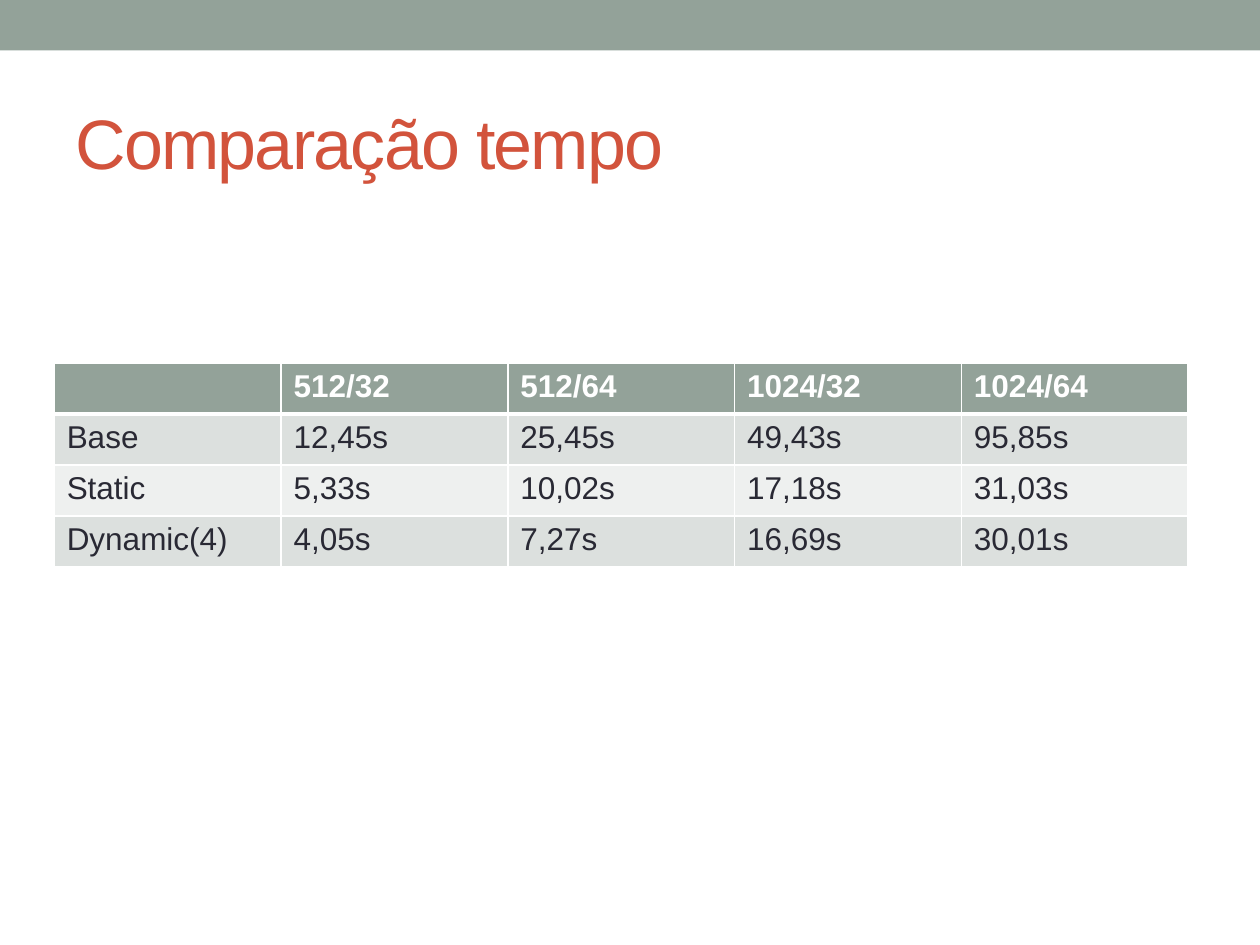
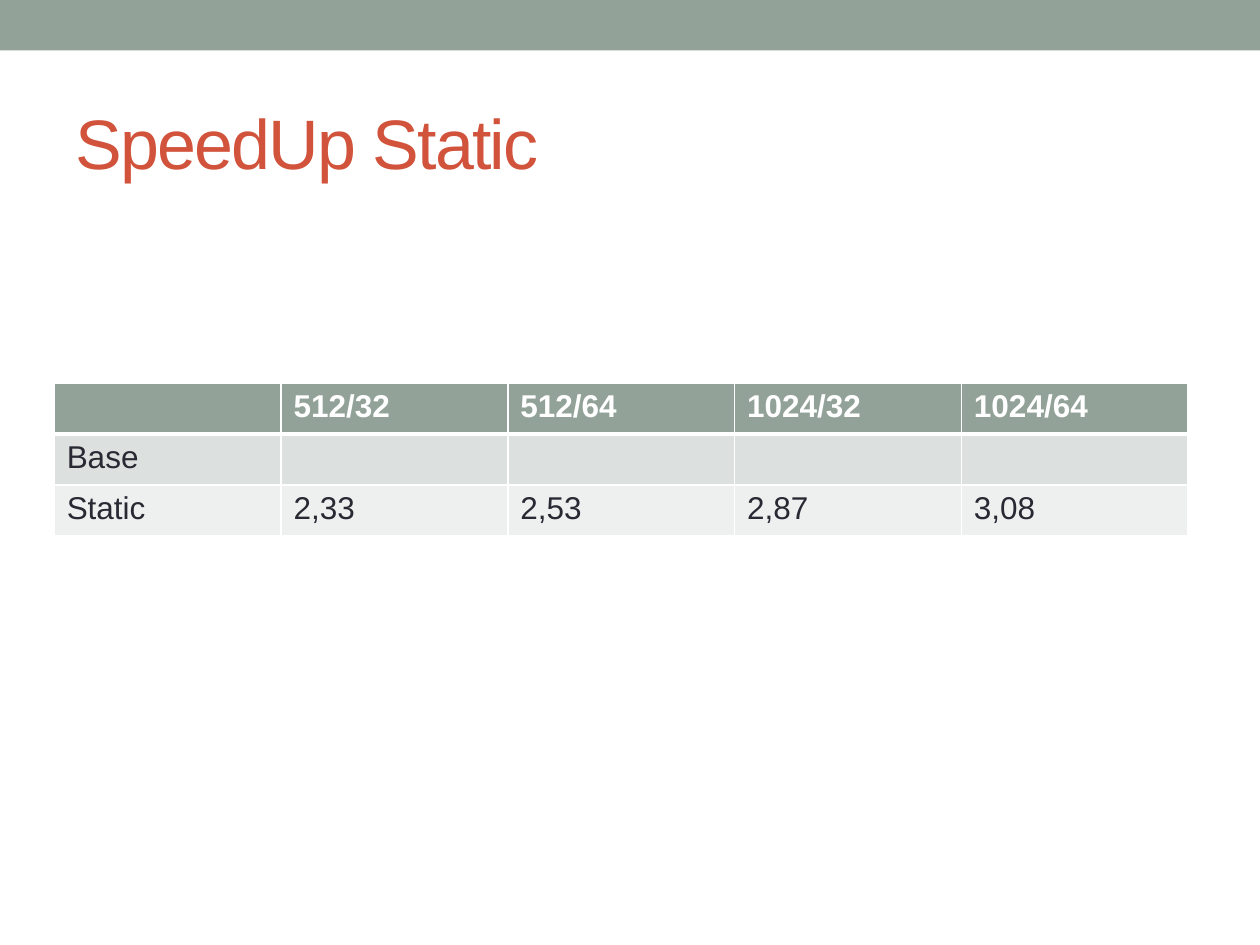
from dataclasses import dataclass

from lxml import etree
from pptx import Presentation
from pptx.dml.color import RGBColor
from pptx.enum.shapes import MSO_SHAPE
from pptx.enum.text import MSO_ANCHOR
from pptx.oxml.ns import qn
from pptx.slide import Slide
from pptx.table import _Cell
from pptx.text.text import _Paragraph
from pptx.util import Inches, Pt

RECTANGLE = MSO_SHAPE.RECTANGLE
MIDDLE = MSO_ANCHOR.MIDDLE

SAGE = RGBColor(0x93, 0xA2, 0x99)
RUST = RGBColor(0xD2, 0x53, 0x3C)
INK = RGBColor(0x29, 0x29, 0x34)
WHITE = RGBColor(0xFF, 0xFF, 0xFF)
ROW_FILLS = (RGBColor(0xDC, 0xE0, 0xDE), RGBColor(0xEE, 0xF0, 0xEF))

FONT = "Arial"
SLIDE_WIDTH, SLIDE_HEIGHT = Inches(10), Inches(7.5)
MARGIN = int(SLIDE_WIDTH * 0.05)
CONTENT_WIDTH = SLIDE_WIDTH - 2 * MARGIN
BAND_HEIGHT = Inches(0.4)
TITLE_TOP, TITLE_HEIGHT = Inches(0.58), Inches(1.08)
TABLE_LEFT = Inches(0.43)
ROW_HEIGHT = Inches(0.405)
THIN, THICK = Pt(1), Pt(3)
TITLE_SPACING = "-100"  # hundredths of a point

HEADER = ("", "512/32", "512/64", "1024/32", "1024/64")


@dataclass(frozen=True)
class TableSlide:
    """A titled slide with one table of results."""
    title: str
    table_top: float
    rows: tuple[tuple[str, ...], ...]


SLIDES = (
    TableSlide("Comparação tempo", 2.88, (
        ("Base", "12,45s", "25,45s", "49,43s", "95,85s"),
        ("Static", "5,33s", "10,02s", "17,18s", "31,03s"),
        ("Dynamic(4)", "4,05s", "7,27s", "16,69s", "30,01s"),
    )),
    TableSlide("SpeedUp Static", 3.04, (
        ("Base", "", "", "", ""),
        ("Static", "2,33", "2,53", "2,87", "3,08"),
    )),
)


def style_paragraph(paragraph: _Paragraph, size: int, color: RGBColor,
                    bold: bool = False) -> None:
    """Set the font of a whole paragraph."""
    font = paragraph.font
    font.name, font.size, font.bold = FONT, Pt(size), bold
    font.color.rgb = color


def add_band(slide: Slide) -> None:
    """Draw the band along the top edge."""
    band = slide.shapes.add_shape(RECTANGLE, 0, 0, SLIDE_WIDTH, BAND_HEIGHT)
    band.shadow.inherit = False
    band.fill.solid()
    band.fill.fore_color.rgb = SAGE
    band.line.fill.background()


def add_title(slide: Slide, text: str) -> None:
    """Write the slide title with tightened letters."""
    box = slide.shapes.add_textbox(MARGIN, TITLE_TOP, CONTENT_WIDTH, TITLE_HEIGHT)
    frame = box.text_frame
    frame.word_wrap = True
    frame.vertical_anchor = MIDDLE
    paragraph = frame.paragraphs[0]
    run = paragraph.add_run()
    run.text = text
    style_paragraph(paragraph, 40, RUST)
    run._r.get_or_add_rPr().set("spc", TITLE_SPACING)


def set_borders(cell: _Cell, top: int, bottom: int) -> None:
    """Give a cell white borders; the sides are always thin."""
    properties = cell._tc.get_or_add_tcPr()
    widths = {"a:lnL": THIN, "a:lnR": THIN, "a:lnT": top, "a:lnB": bottom}
    for tag, width in widths.items():
        line = etree.SubElement(properties, qn(tag), w=str(int(width)))
        fill = etree.SubElement(line, qn("a:solidFill"))
        etree.SubElement(fill, qn("a:srgbClr"), val=str(WHITE))


def add_results_table(slide: Slide, top: float,
                      rows: tuple[tuple[str, ...], ...]) -> None:
    """Draw a header row and banded rows in equal columns."""
    lines = (HEADER, *rows)
    table = slide.shapes.add_table(
        len(lines), len(HEADER), TABLE_LEFT, Inches(top),
        CONTENT_WIDTH, ROW_HEIGHT * len(lines)).table
    table.horz_banding = False
    for row_index, texts in enumerate(lines):
        is_header = row_index == 0
        fill = SAGE if is_header else ROW_FILLS[(row_index - 1) % len(ROW_FILLS)]
        for column_index, text in enumerate(texts):
            cell = table.cell(row_index, column_index)
            set_borders(cell, THICK if row_index == 1 else THIN,
                        THICK if is_header else THIN)
            cell.fill.solid()
            cell.fill.fore_color.rgb = fill
            cell.text = text
            style_paragraph(cell.text_frame.paragraphs[0], 18,
                            WHITE if is_header else INK, is_header)


def build() -> None:
    """Build and save the presentation."""
    presentation = Presentation()
    presentation.slide_width, presentation.slide_height = SLIDE_WIDTH, SLIDE_HEIGHT
    blank_layout = presentation.slide_layouts[6]
    for content in SLIDES:
        slide = presentation.slides.add_slide(blank_layout)
        add_band(slide)
        add_title(slide, content.title)
        add_results_table(slide, content.table_top, content.rows)
    presentation.save("out.pptx")


build()
